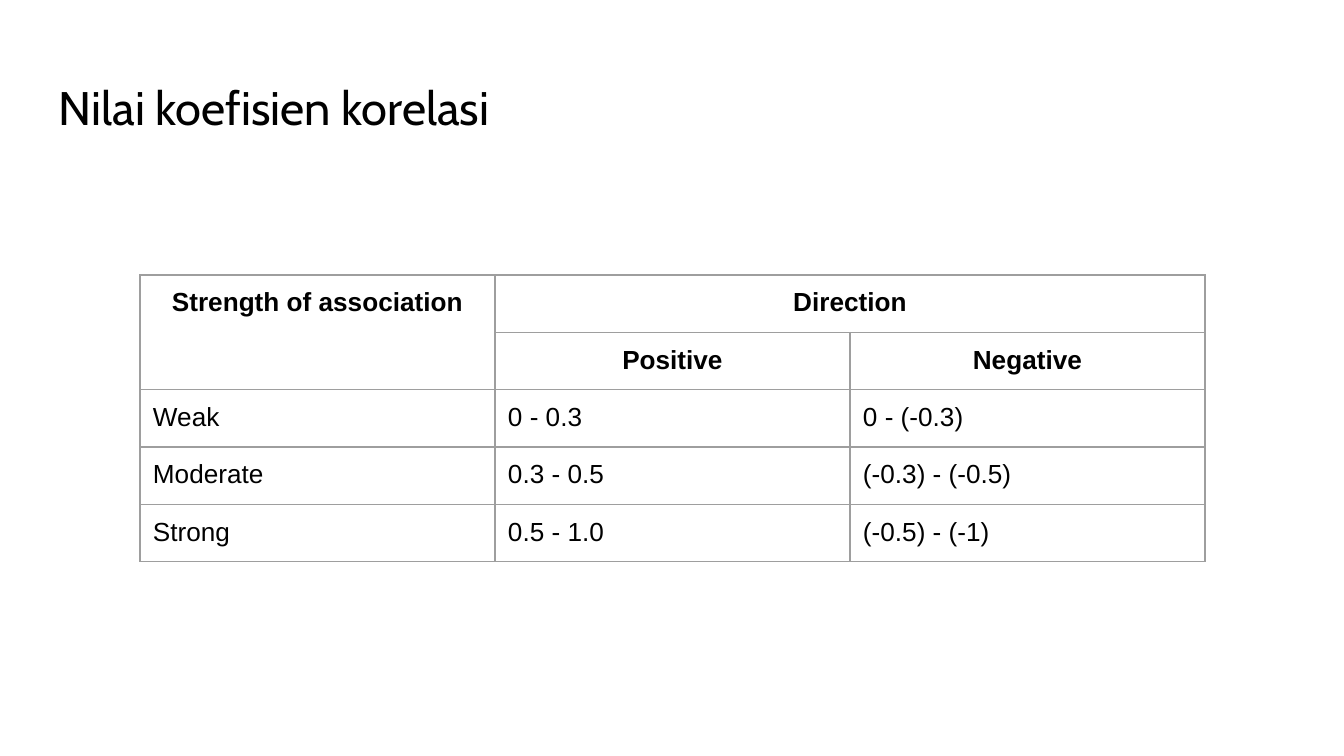
from dataclasses import dataclass

from lxml.etree import SubElement
from pptx import Presentation
from pptx.dml.color import RGBColor
from pptx.enum.text import PP_ALIGN
from pptx.oxml.ns import qn
from pptx.util import Pt

SCALE = 914400 / 134.4
COLORS = {"text": "000000", "page": "FFFFFF", "rule": "9E9E9E"}
INSET = 13
COL, ROW = 355, 56


@dataclass
class Entry:
    row: int
    col: int
    text: str
    head: bool = False
    down: int = 1
    over: int = 1


HEADS = [
    Entry(0, 0, "Strength of association", True, down=2),
    Entry(0, 1, "Direction", True, over=2),
    Entry(1, 1, "Positive", True),
    Entry(1, 2, "Negative", True),
]
VALUES = [
    ("Weak", "0 - 0.3", "0 - (-0.3)"),
    ("Moderate", "0.3 - 0.5", "(-0.3) - (-0.5)"),
    ("Strong", "0.5 - 1.0", "(-0.5) - (-1)"),
]


def px(count: int) -> int:
    return round(count * SCALE)


def pad(box) -> None:
    """Set equal insets on a text frame or a cell."""
    box.margin_left = box.margin_right = px(INSET)
    box.margin_top = box.margin_bottom = px(INSET)


def style(para, name: str, size: float, bold: bool = False) -> None:
    font = para.font
    font.name, font.size, font.bold = name, Pt(size), bold
    font.color.rgb = RGBColor.from_string(COLORS["text"])


def border(cell) -> None:
    """Draw a thin rule on all four sides; rules precede the fill in the XML."""
    props = cell._tc.get_or_add_tcPr()
    for spot, side in enumerate(("lnL", "lnR", "lnT", "lnB")):
        line = SubElement(props, qn(f"a:{side}"), w=str(Pt(0.75)))
        fill = SubElement(line, qn("a:solidFill"))
        SubElement(fill, qn("a:srgbClr"), val=COLORS["rule"])
        props.insert(spot, line)


def add_title(slide, text: str) -> None:
    frame = slide.shapes.add_textbox(px(46), px(66), px(1253), px(85)).text_frame
    frame.word_wrap = True
    pad(frame)
    para = frame.paragraphs[0]
    para.text = text
    style(para, "Cabin", 25.2)


def add_entry(table, entry: Entry) -> None:
    cell = table.cell(entry.row, entry.col)
    if entry.down * entry.over > 1:
        cell.merge(table.cell(entry.row + entry.down - 1,
                              entry.col + entry.over - 1))
    para = cell.text_frame.paragraphs[0]
    para.text = entry.text
    para.alignment = PP_ALIGN.CENTER if entry.head else PP_ALIGN.LEFT
    style(para, "Arial", 14, entry.head)


def add_grid(slide, entries: list[Entry], rows: int, cols: int) -> None:
    table = slide.shapes.add_table(rows, cols, px(140), px(275),
                                   px(COL * cols), px(ROW * rows)).table
    table.first_row = table.horz_banding = False
    for col in table.columns:
        col.width = px(COL)
    for row in table.rows:
        row.height = px(ROW)
    for cell in table.iter_cells():
        pad(cell)
        cell.fill.solid()
        cell.fill.fore_color.rgb = RGBColor.from_string(COLORS["page"])
        border(cell)
        style(cell.text_frame.paragraphs[0], "Arial", 14)
    for entry in entries:
        add_entry(table, entry)


def main() -> None:
    deck = Presentation()
    deck.slide_width, deck.slide_height = px(1344), px(756)
    slide = deck.slides.add_slide(deck.slide_layouts[6])
    add_title(slide, "Nilai koefisien korelasi")
    body = [Entry(row, col, text)
            for row, texts in enumerate(VALUES, start=2)
            for col, text in enumerate(texts)]
    add_grid(slide, HEADS + body, rows=2 + len(VALUES), cols=3)
    deck.save("out.pptx")


if __name__ == "__main__":
    main()
